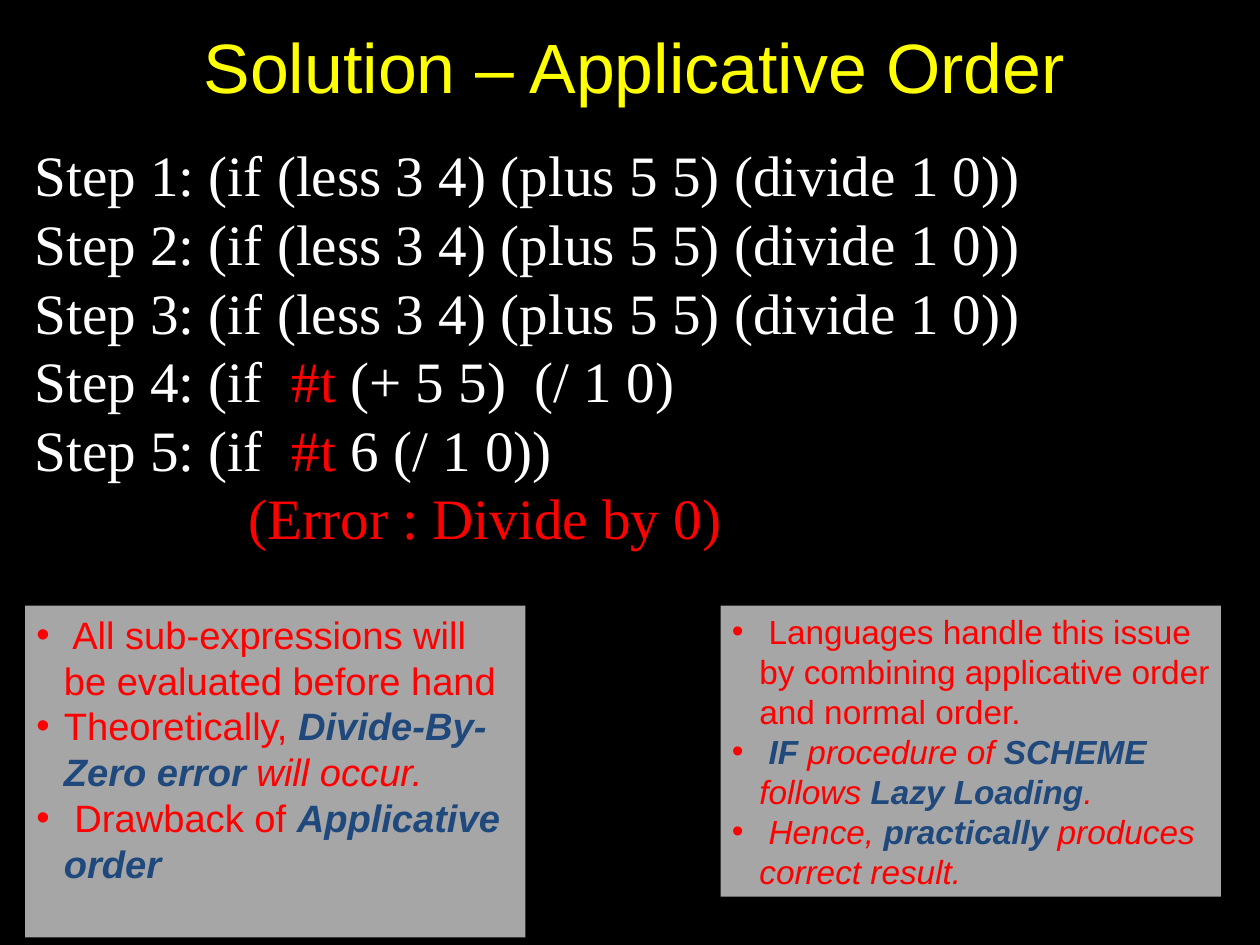
from lxml import etree
from pptx import Presentation, util as u
from pptx.dml.color import RGBColor
from pptx.enum import shapes, text
from pptx.oxml.ns import qn

WIDE, HIGH = u.Cm(28), u.Cm(21)
HUES = {"back": "000000", "title": "FFFF00", "plain": "FFFFFF",
        "red": "FF0000", "blue": "1F497D", "panel": "A6A6A6"}

# style: (colour, bold, italic)
PLAIN = ("plain", False, False)
RED = ("red", False, False)
SLANT = ("red", False, True)
KEY = ("blue", True, True)

CALL = "(if (less 3 4) (plus 5 5) (divide 1 0))"
STEPS = [
    [(CALL, PLAIN)],
    [(CALL, PLAIN)],
    [(CALL, PLAIN)],
    [("(if  ", PLAIN), ("#t ", RED), ("(+ 5 5)  (/ 1 0)", PLAIN)],
    [("(if  ", PLAIN), ("#t ", RED), ("6 (/ 1 0))", PLAIN)],
]
ERROR = [("(Error : Divide by 0)", RED)]
DRAWBACK = [
    [(" All sub-expressions will be evaluated before hand", RED)],
    [("Theoretically, ", RED), ("Divide-By-Zero error", KEY),
     (" will occur.", SLANT)],
    [(" Drawback of ", RED), ("Applicative order", KEY)],
]
REMEDY = [
    [(" Languages handle this issue by combining applicative order "
      "and normal order.", RED)],
    [(" ", SLANT), ("IF", KEY), (" procedure of ", SLANT), ("SCHEME", KEY),
     (" follows ", SLANT), ("Lazy Loading", KEY), (".", SLANT)],
    [(" Hence, ", SLANT), ("practically", KEY),
     (" produces correct result.", SLANT)],
]


def hue(name):
    return RGBColor.from_string(HUES[name])


def place(x, y, w, h):
    """Turn shares of the slide's size into lengths."""
    return [round(part * side)
            for part, side in zip((x, y, w, h), (WIDE, HIGH) * 2)]


def write(frame, lines, size, face):
    """Fill a frame with lines of styled runs and return its paragraphs."""
    frame.word_wrap = True
    for line in lines[1:]:
        frame.add_paragraph()
    for para, line in zip(frame.paragraphs, lines):
        para.alignment = text.PP_ALIGN.LEFT
        for words, (color, bold, slant) in line:
            run = para.add_run()
            run.text = words
            font = run.font
            font.name, font.size = face, u.Pt(size)
            font.bold, font.italic = bold, slant
            font.color.rgb = hue(color)
    return frame.paragraphs


def indent(para, left, first=0):
    props = para._p.get_or_add_pPr()
    props.set("marL", str(u.Inches(left)))
    props.set("indent", str(u.Inches(first)))
    return props


def bullet(para):
    props = indent(para, 0.24, -0.24)
    color = etree.SubElement(props, qn("a:buClr"))
    etree.SubElement(color, qn("a:srgbClr"), val=HUES["red"])
    etree.SubElement(props, qn("a:buFont"), typeface="Arial")
    etree.SubElement(props, qn("a:buChar"), char="•")


def label(slide, spot, lines, size, face):
    frame = slide.shapes.add_textbox(*place(*spot)).text_frame
    frame.margin_left = frame.margin_right = 0
    frame.margin_top = frame.margin_bottom = 0
    return frame, write(frame, lines, size, face)


def panel(slide, spot, lines, size):
    box = slide.shapes.add_shape(shapes.MSO_SHAPE.RECTANGLE, *place(*spot))
    box.shadow.inherit = False
    box.fill.solid()
    box.fill.fore_color.rgb = hue("panel")
    box.line.fill.background()
    frame = box.text_frame
    frame.vertical_anchor = text.MSO_ANCHOR.TOP
    frame.margin_right = u.Inches(0.08)
    for para in write(frame, lines, size, "Arial"):
        bullet(para)


def main():
    deck = Presentation()
    deck.slide_width, deck.slide_height = WIDE, HIGH
    slide = deck.slides.add_slide(deck.slide_layouts[6])
    slide.background.fill.solid()
    slide.background.fill.fore_color.rgb = hue("back")

    title = [[("Solution – Applicative Order", ("title", False, False))]]
    frame, paras = label(slide, (0.054, 0.002, 0.9, 0.134), title, 44, "Arial")
    frame.vertical_anchor = text.MSO_ANCHOR.MIDDLE
    paras[0].alignment = text.PP_ALIGN.CENTER

    steps = [[(f" Step {num}: ", PLAIN)] + runs
             for num, runs in enumerate(STEPS, 1)]
    frame, paras = label(slide, (0.016, 0.148, 0.976, 0.852),
                         steps + [ERROR], 36, "Times New Roman")
    indent(paras[-1], 2)

    panel(slide, (0.02, 0.641, 0.397, 0.351), DRAWBACK, 24)
    panel(slide, (0.572, 0.641, 0.397, 0.308), REMEDY, 21)
    deck.save("out.pptx")


if __name__ == "__main__":
    main()
